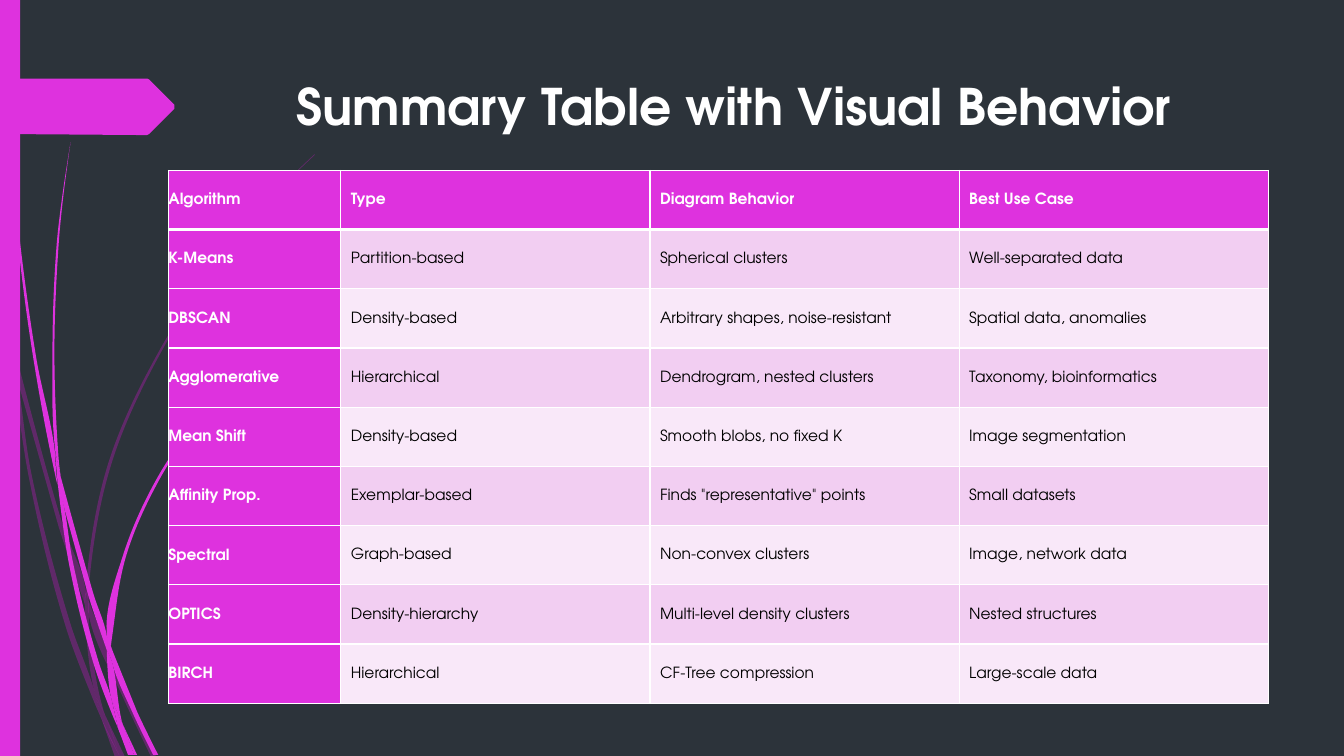
"""Build a slide that summarises clustering algorithms in a table."""
from math import hypot

from lxml import etree
from pptx import Presentation
from pptx.dml.color import RGBColor
from pptx.enum.shapes import MSO_SHAPE
from pptx.enum.text import MSO_ANCHOR, MSO_AUTO_SIZE, PP_ALIGN
from pptx.oxml.ns import qn
from pptx.util import Pt

RECTANGLE = MSO_SHAPE.RECTANGLE
TOP, MIDDLE = MSO_ANCHOR.TOP, MSO_ANCHOR.MIDDLE
LEFT = PP_ALIGN.LEFT
NO_FIT = MSO_AUTO_SIZE.NONE

EMU_PER_PX = 9144
FONT = "TeX Gyre Adventor"
DARK, MAGENTA, PURPLE = "2C333A", "DE32DE", "B01CB0"
WHITE, BLACK = "FFFFFF", "000000"
BANDS = ("F9E8F9", "F2CEF2")
SHARP_TURN = 0.7

ROWS = [
    ("Algorithm", "Type", "Diagram Behavior", "Best Use Case"),
    ("K-Means", "Partition-based", "Spherical clusters", "Well-separated data"),
    ("DBSCAN", "Density-based", "Arbitrary shapes, noise-resistant", "Spatial data, anomalies"),
    ("Agglomerative", "Hierarchical", "Dendrogram, nested clusters", "Taxonomy, bioinformatics"),
    ("Mean Shift", "Density-based", "Smooth blobs, no fixed K", "Image segmentation"),
    ("Affinity Prop.", "Exemplar-based", 'Finds "representative" points', "Small datasets"),
    ("Spectral", "Graph-based", "Non-convex clusters", "Image, network data"),
    ("OPTICS", "Density-hierarchy", "Multi-level density clusters", "Nested structures"),
    ("BIRCH", "Hierarchical", "CF-Tree compression", "Large-scale data"),
]
TABLE_WIDTH, FIRST_WIDTH = 1091, 171

DIM_BLADES = [
    [(11, 350), (9, 322), (0, 282), (0, 299), (10, 344)],
    [(58, 522), (84, 599), (85, 586), (62, 520), (14, 345), (17, 376)],
    [(92, 607), (88, 596), (88, 610), (123, 694), (150, 751), (155, 751), (127, 692)],
    [(119, 751), (124, 751), (105, 711)],
    [(93, 683), (70, 619), (31, 469), (17, 376), (11, 350), (28, 470), (65, 621),
     (92, 693), (101, 714), (99, 707)],
    [(84, 599), (87, 646), (93, 683), (96, 692), (105, 711), (103, 706), (91, 646),
     (88, 610), (88, 608)],
    [(88, 584), (110, 462), (160, 349), (229, 245), (268, 198), (290, 175), (312, 154),
     (312, 153), (289, 175), (268, 197), (228, 244), (158, 348), (107, 461), (85, 584),
     (85, 586), (88, 596)],
    [(101, 714), (114, 751), (119, 751)],
    [(88, 608), (88, 610), (88, 596), (85, 586), (84, 599)],
    [(96, 692), (93, 683), (99, 707), (101, 714), (119, 751), (105, 711)],
]
BRIGHT_BLADES = [
    [(7, 110), (17, 233), (33, 355), (56, 477), (57, 481), (55, 457), (55, 453), (36, 355),
     (19, 232), (8, 109), (5, 48), (4, 0), (3, 0), (4, 48)],
    [(88, 592), (106, 645), (106, 633), (106, 631), (93, 590), (60, 472), (64, 505)],
    [(113, 649), (110, 641), (111, 656), (132, 708), (152, 749), (157, 749), (136, 706)],
    [(110, 691), (98, 657), (72, 556), (64, 505), (57, 477), (68, 557), (93, 659),
     (111, 708), (117, 722), (116, 717)],
    [(60, 472), (58, 453), (54, 349), (58, 245), (63, 193), (70, 141), (62, 193), (56, 245),
     (52, 349), (55, 449)],
    [(133, 749), (136, 749), (122, 719)],
    [(57, 477), (64, 505), (60, 472), (55, 449), (55, 453)],
    [(111, 633), (125, 552), (158, 476), (205, 406), (231, 374), (245, 359), (261, 344),
     (260, 344), (245, 358), (231, 373), (204, 405), (156, 474), (122, 551), (106, 631),
     (110, 641)],
    [(117, 722), (127, 749), (131, 749)],
    [(106, 645), (110, 691), (116, 706), (122, 719), (121, 716), (111, 656), (109, 651)],
    [(106, 645), (109, 651), (111, 656), (110, 641), (106, 631), (106, 633)],
    [(116, 706), (110, 691), (116, 717), (117, 722), (130, 749), (133, 749), (122, 719)],
]
ARROW = [(173, 108), (148, 133), (146, 134), (136, 134), (0, 133), (0, 78), (136, 78),
         (146, 78), (148, 79), (173, 104)]


def px(length):
    """Turn pixels into EMU."""
    return round(length * EMU_PER_PX)


def color(value):
    """Turn a hex string into a colour."""
    return RGBColor.from_string(value)


def paint(shape, fill, opacity=100):
    """Give a shape a plain fill without line or shadow."""
    shape.shadow.inherit = False
    shape.fill.solid()
    shape.fill.fore_color.rgb = color(fill)
    shape.line.fill.background()
    if opacity < 100:
        swatch = shape._element.spPr.find(".//" + qn("a:srgbClr"))
        etree.SubElement(swatch, qn("a:alpha"), val=str(opacity * 1000))


def add_outline(shapes, points, fill, opacity=100):
    """Draw a closed filled outline and return its shape."""
    corners = [(px(x), px(y)) for x, y in points]
    builder = shapes.build_freeform(*corners[0], scale=1.0)
    builder.add_line_segments(corners[1:], close=True)
    shape = builder.convert_to_shape()
    paint(shape, fill, opacity)
    return shape


def direction(start, end):
    """Return the unit vector from start to end."""
    across, down = end[0] - start[0], end[1] - start[1]
    length = hypot(across, down) or 1
    return across / length, down / length


def tangent(before, point, after):
    """Return the curve direction at a point, or zero at a sharp corner."""
    arriving, leaving = direction(before, point), direction(point, after)
    if arriving[0] * leaving[0] + arriving[1] * leaving[1] < SHARP_TURN:
        return 0, 0
    return direction((0, 0), (arriving[0] + leaving[0], arriving[1] + leaving[1]))


def bend(shape, points):
    """Turn the straight sides of an outline into smooth curves."""
    left = min(x for x, y in points)
    top = min(y for x, y in points)
    tangents = [tangent(points[i - 1], point, points[(i + 1) % len(points)])
                for i, point in enumerate(points)]
    sides = shape._element.spPr.findall(".//" + qn("a:lnTo"))
    for i, side in enumerate(sides[:len(points) - 1]):
        start, end = points[i], points[i + 1]
        reach = hypot(end[0] - start[0], end[1] - start[1]) / 3
        first = [a + reach * b for a, b in zip(start, tangents[i])]
        second = [a - reach * b for a, b in zip(end, tangents[i + 1])]
        curve = etree.Element(qn("a:cubicBezTo"))
        for x, y in (first, second, end):
            etree.SubElement(curve, qn("a:pt"), x=str(px(x - left)), y=str(px(y - top)))
        side.getparent().replace(side, curve)


def add_grass(page, blades, fill, opacity=100):
    """Add a group of curved blades in one colour."""
    group = page.shapes.add_group_shape()
    for points in blades:
        bend(add_outline(group.shapes, points, fill, opacity), points)


def add_span(para, text, size, ink, bold):
    """Append a formatted run to a paragraph."""
    span = para.add_run()
    span.text = text
    span.font.name = FONT
    span.font.size = Pt(size)
    span.font.bold = bold
    span.font.color.rgb = color(ink)


def set_title(page, text):
    """Place and fill the title placeholder."""
    box = page.shapes.title
    box.left, box.top, box.width, box.height = px(284), px(69), px(975), px(140)
    frame = box.text_frame
    frame.word_wrap = True
    frame.auto_size = NO_FIT
    frame.vertical_anchor = TOP
    para = frame.paragraphs[0]
    para.alignment = LEFT
    add_span(para, text, 36, WHITE, True)


def set_borders(cell, top, bottom):
    """Draw white cell borders with the given top and bottom points."""
    properties = cell._tc.get_or_add_tcPr()
    for side, width in (("L", 1), ("R", 1), ("T", top), ("B", bottom)):
        line = etree.SubElement(properties, qn("a:ln" + side), w=str(Pt(width)))
        fill = etree.SubElement(line, qn("a:solidFill"))
        etree.SubElement(fill, qn("a:srgbClr"), val=WHITE)


def fill_cell(cell, text, row, column):
    """Format one table cell by its row and column."""
    heading = row == 0 or column == 0
    set_borders(cell, 3 if row == 1 else 1, 3 if row == 0 else 1)
    cell.fill.solid()
    cell.fill.fore_color.rgb = color(MAGENTA if heading else BANDS[row % 2])
    cell.vertical_anchor = MIDDLE
    cell.margin_left = px(0 if column == 0 else 10)
    cell.margin_top = cell.margin_right = cell.margin_bottom = px(10)
    para = cell.text_frame.paragraphs[0]
    para.line_spacing = 1.07
    add_span(para, text, 11, WHITE if heading else BLACK, heading)


def add_summary_table(page):
    """Add the table of algorithms."""
    count = len(ROWS[0])
    table = page.shapes.add_table(
        len(ROWS), count, px(167), px(169), px(TABLE_WIDTH), px(529)).table
    for i, column in enumerate(table.columns):
        column.width = px((TABLE_WIDTH - FIRST_WIDTH) / (count - 1) if i else FIRST_WIDTH)
    for row, texts in enumerate(ROWS):
        for column, text in enumerate(texts):
            fill_cell(table.cell(row, column), text, row, column)


def main():
    """Build and save the deck."""
    deck = Presentation()
    deck.slide_width, deck.slide_height = px(1333), px(750)
    page = deck.slides.add_slide(deck.slide_layouts[5])
    page.background.fill.solid()
    page.background.fill.fore_color.rgb = color(DARK)
    add_grass(page, DIM_BLADES, PURPLE, 40)
    add_grass(page, BRIGHT_BLADES, MAGENTA)
    paint(page.shapes.add_shape(RECTANGLE, 0, 0, px(20), px(750)), MAGENTA)
    add_outline(page.shapes, ARROW, MAGENTA)
    set_title(page, "Summary Table with Visual Behavior")
    add_summary_table(page)
    deck.save("out.pptx")


if __name__ == "__main__":
    main()
